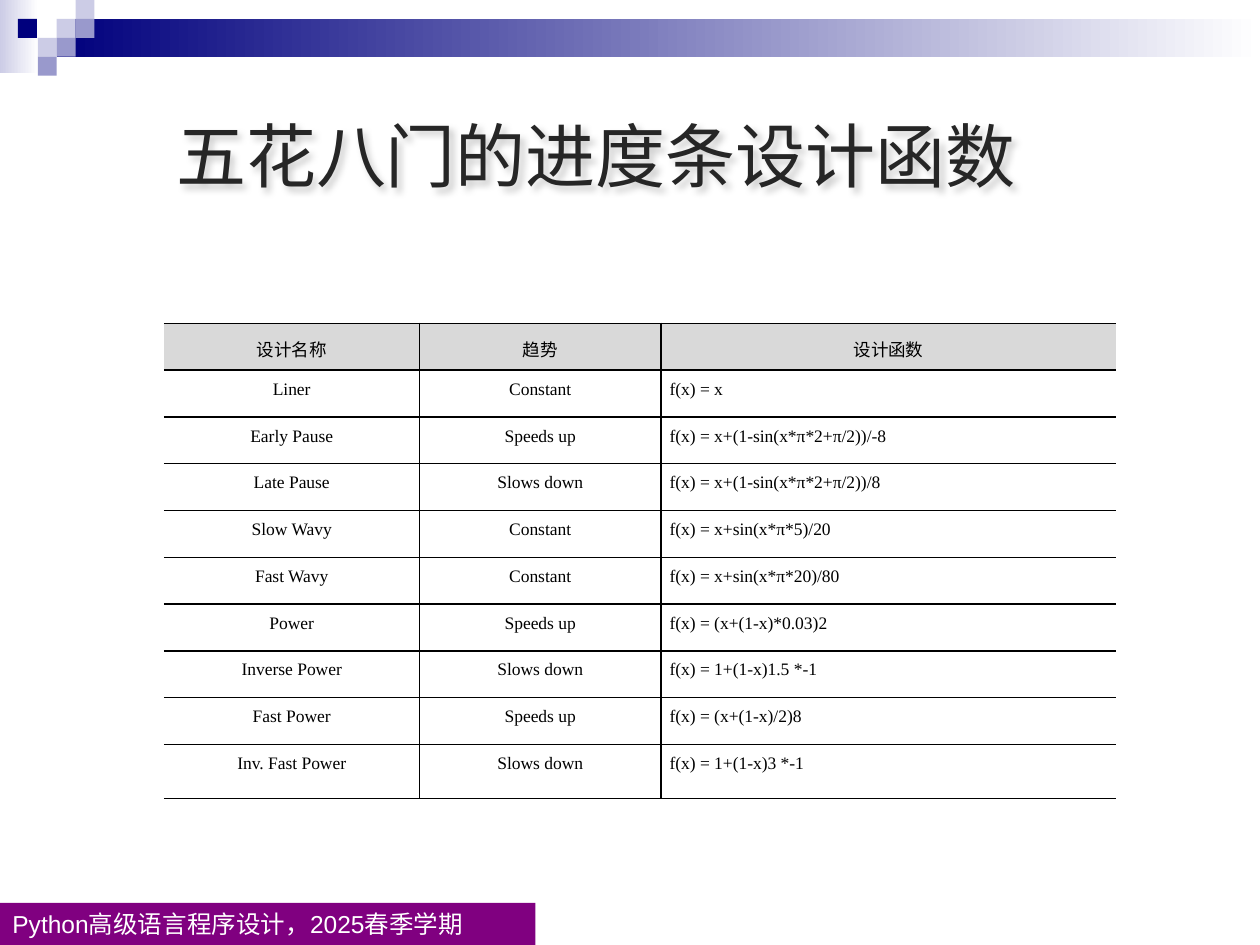
from lxml.etree import SubElement
from pptx import Presentation
from pptx.dml.color import RGBColor
from pptx.enum.shapes import MSO_SHAPE
from pptx.enum.text import MSO_ANCHOR, PP_ALIGN
from pptx.oxml import parse_xml
from pptx.oxml.ns import nsdecls, qn
from pptx.util import Pt

TITLE = "五花八门的进度条设计函数"
FOOTER = "Python高级语言程序设计，2025春季学期"
HEADER = ("设计名称", "趋势", "设计函数")
FUNCTIONS = [
    ("Liner", "Constant", "f(x) = x"),
    ("Early Pause", "Speeds up", "f(x) = x+(1-sin(x*π*2+π/2))/-8"),
    ("Late Pause", "Slows down", "f(x) = x+(1-sin(x*π*2+π/2))/8"),
    ("Slow Wavy", "Constant", "f(x) = x+sin(x*π*5)/20"),
    ("Fast Wavy", "Constant", "f(x) = x+sin(x*π*20)/80"),
    ("Power", "Speeds up", "f(x) = (x+(1-x)*0.03)2"),
    ("Inverse Power", "Slows down", "f(x) = 1+(1-x)1.5 *-1"),
    ("Fast Power", "Speeds up", "f(x) = (x+(1-x)/2)8"),
    ("Inv. Fast Power", "Slows down", "f(x) = 1+(1-x)3 *-1"),
]
COLORS = {
    "navy": "00007D", "lavender": "CCCCE6", "violet": "9999CC", "white": "FFFFFF",
    "purple": "800080", "title": "262626", "black": "000000", "header": "D9D9D9",
}
SQUARE = 10.8
# Column and row on the grid of corner squares, then colour
SQUARES = [
    (3, 1, "lavender"), (4, 0, "lavender"), (4, 1, "violet"), (2, 2, "lavender"),
    (0.95, 1, "navy"), (3, 2, "violet"), (2, 3, "violet"),
]
# Left, top, width, height, start colour
FADES = [(0, 0, 22, 42, "lavender"), (32.4, 10.8, 687.6, 21.6, "navy")]
COLUMN_WIDTHS = (146.2, 137.8, 260.3)
ROW_HEIGHT, LAST_ROW_HEIGHT = 26.75, 31


def rgb(name):
    return RGBColor.from_string(COLORS[name])


def add_block(slide, left, top, width, height, color):
    block = slide.shapes.add_shape(
        MSO_SHAPE.RECTANGLE, Pt(left), Pt(top), Pt(width), Pt(height))
    block.shadow.inherit = False
    block.line.fill.background()
    block.fill.solid()
    block.fill.fore_color.rgb = rgb(color)
    return block


def fade_to_white(block, color):
    block.fill.gradient()
    block.fill.gradient_angle = 0
    for stop, name, position in zip(block.fill.gradient_stops, (color, "white"), (0, 1)):
        stop.color.rgb = rgb(name)
        stop.position = position


def style(paragraph, font_name, size, color):
    font = paragraph.font
    font.name, font.size = font_name, Pt(size)
    font.color.rgb = rgb(color)


def add_borders(cell, sides):
    """Draw the named sides in black and leave the others without a line."""
    properties = cell._tc.get_or_add_tcPr()
    for side in "LRTB":
        line = SubElement(properties, qn(f"a:ln{side}"), w=str(Pt(1)))
        if side in sides:
            fill = SubElement(line, qn("a:solidFill"))
            SubElement(fill, qn("a:srgbClr"), val=COLORS["black"])
        else:
            SubElement(line, qn("a:noFill"))


def add_title(slide):
    title = slide.shapes.add_textbox(Pt(93.6), Pt(60.5), Pt(499), Pt(55.4))
    title.text_frame.word_wrap = False
    title.text_frame.vertical_anchor = MSO_ANCHOR.MIDDLE
    paragraph = title.text_frame.paragraphs[0]
    paragraph.text = TITLE
    style(paragraph, "Noto Sans CJK SC", 40, "title")
    east_asian = SubElement(paragraph.runs[0]._r.get_or_add_rPr(), qn("a:ea"))
    east_asian.set("typeface", "Noto Sans CJK SC")
    title._element.spPr.append(parse_xml(
        f'<a:effectLst {nsdecls("a")}><a:outerShdw blurRad="{Pt(4)}" dist="{Pt(3)}" '
        'dir="2700000" algn="tl" rotWithShape="0"><a:srgbClr val="000000">'
        '<a:alpha val="20000"/></a:srgbClr></a:outerShdw></a:effectLst>'))


def add_function_table(slide):
    rows = [HEADER, *FUNCTIONS]
    heights = [ROW_HEIGHT] * len(FUNCTIONS) + [LAST_ROW_HEIGHT]
    table = slide.shapes.add_table(
        len(rows), len(HEADER), Pt(93.6), Pt(184.8),
        Pt(sum(COLUMN_WIDTHS)), Pt(sum(heights))).table
    table.first_row = table.horz_banding = False
    for column, width in zip(table.columns, COLUMN_WIDTHS):
        column.width = Pt(width)
    for row, height in zip(table.rows, heights):
        row.height = Pt(height)
    for r, texts in enumerate(rows):
        for c, (text, sides) in enumerate(zip(texts, ("RTB", "LRTB", "LTB"))):
            cell = table.cell(r, c)
            cell.margin_left = cell.margin_right = Pt(5.04)
            cell.margin_top = cell.margin_bottom = 0
            add_borders(cell, sides)
            cell.fill.solid()
            cell.fill.fore_color.rgb = rgb("white" if r else "header")
            paragraph = cell.text_frame.paragraphs[0]
            paragraph.text = text
            paragraph.line_spacing = 1.5
            paragraph.alignment = PP_ALIGN.LEFT if r and c == 2 else PP_ALIGN.CENTER
            style(paragraph, "Times New Roman", 10, "black")


def add_footer(slide):
    footer = add_block(slide, 0, 516, 306, 24, "purple")
    frame = footer.text_frame
    frame.word_wrap = True
    frame.margin_top = frame.margin_bottom = 0
    frame.vertical_anchor = MSO_ANCHOR.MIDDLE
    paragraph = frame.paragraphs[0]
    paragraph.text = FOOTER
    paragraph.alignment = PP_ALIGN.LEFT
    style(paragraph, "Arial", 14, "white")


def main():
    presentation = Presentation()
    presentation.slide_width, presentation.slide_height = Pt(720), Pt(540)
    slide = presentation.slides.add_slide(presentation.slide_layouts[6])
    for *place, color in FADES:
        fade_to_white(add_block(slide, *place, color), color)
    for column, row, color in SQUARES:
        add_block(slide, column * SQUARE, row * SQUARE, SQUARE, SQUARE, color)
    add_footer(slide)
    add_title(slide)
    add_function_table(slide)
    presentation.save("out.pptx")


if __name__ == "__main__":
    main()
